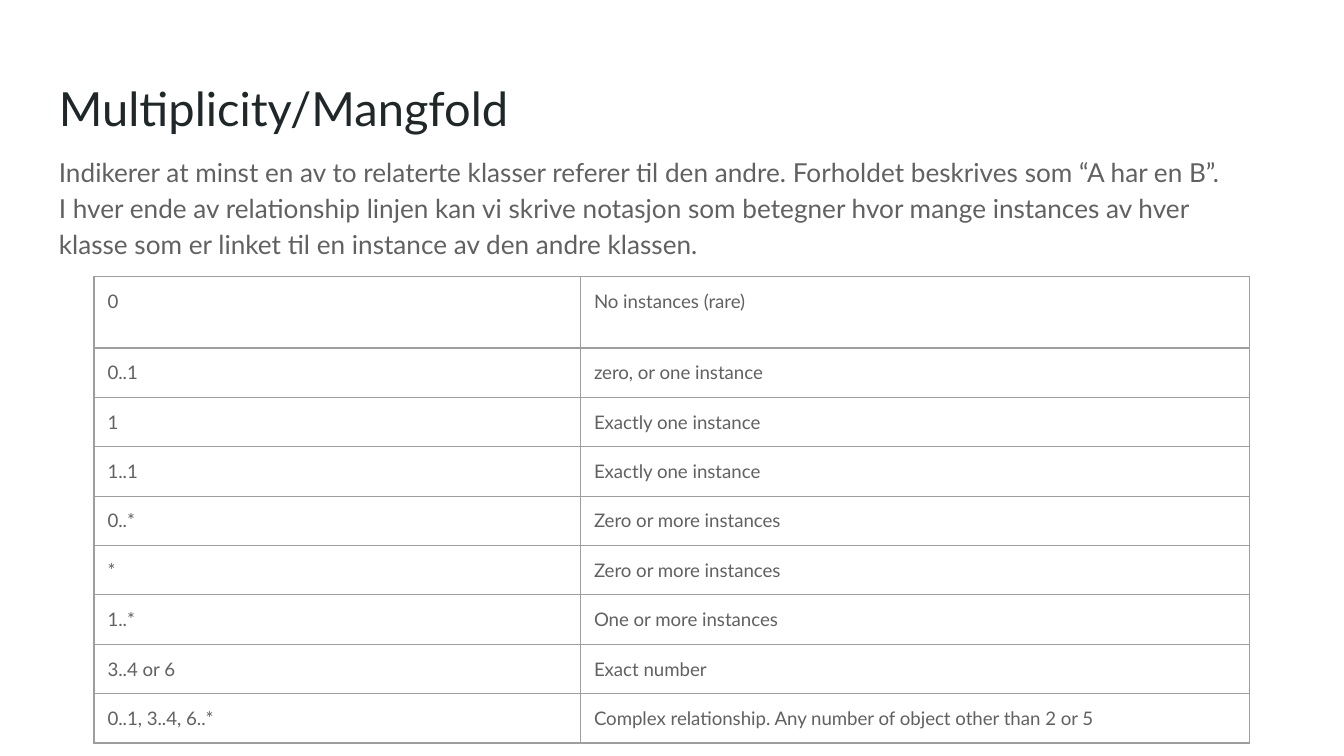
from lxml.etree import SubElement
from pptx import Presentation
from pptx.dml.color import RGBColor
from pptx.enum.text import MSO_ANCHOR as Anchor
from pptx.oxml.ns import qn
from pptx.util import Pt

PX = 4572  # 200 px to the inch
THEME = {
    "font": "Lato",
    "title": {"size": Pt(25.2), "color": "202729"},
    "body": {"size": Pt(14), "color": "616161"},
    "cell": {"size": Pt(10), "color": "616161"},
    "border": "9E9E9E",
    "border_width": Pt(0.75),
}
INSET = 20 * PX
FRAME = {
    "margin_left": INSET,
    "margin_right": INSET,
    "margin_top": INSET,
    "margin_bottom": INSET,
    "vertical_anchor": Anchor.TOP,
}


def write(paragraph, text, style):
    run = paragraph.add_run()
    run.text = text
    run.font.name = THEME["font"]
    run.font.size = style["size"]
    run.font.color.rgb = RGBColor.from_string(style["color"])


presentation = Presentation()
presentation.slide_width = 2000 * PX
presentation.slide_height = 1125 * PX
slide = presentation.slides.add_slide(presentation.slide_layouts[6])

# Title and explanation
TEXTS = [
    ("title", (68, 98, 1864, 126), 1.0, "Multiplicity/Mangfold"),
    ("body", (68, 206, 1774, 792), 1.15,
     "Indikerer at minst en av to relaterte klasser referer til den andre. "
     "Forholdet beskrives som “A har en B”. I hver ende av relationship linjen "
     "kan vi skrive notasjon som betegner hvor mange instances av hver klasse "
     "som er linket til en instance av den andre klassen."),
]
for style, box, spacing, text in TEXTS:
    shape = slide.shapes.add_textbox(*(length * PX for length in box))
    for name, value in {**FRAME, "word_wrap": True}.items():
        setattr(shape.text_frame, name, value)
    paragraph = shape.text_frame.paragraphs[0]
    paragraph.line_spacing = spacing
    write(paragraph, text, THEME[style])

# Multiplicity table
MULTIPLICITIES = [
    ("0", "No instances (rare)"),
    ("0..1", "zero, or one instance"),
    ("1", "Exactly one instance"),
    ("1..1", "Exactly one instance"),
    ("0..*", "Zero or more instances"),
    ("*", "Zero or more instances"),
    ("1..*", "One or more instances"),
    ("3..4 or 6", "Exact number"),
    ("0..1, 3..4, 6..*",
     "Complex relationship. Any number of object other than 2 or 5"),
]
column_widths = [724, 996]
row_heights = [106] + [73] * (len(MULTIPLICITIES) - 1)
table = slide.shapes.add_table(
    len(row_heights), len(column_widths), 140 * PX, 412 * PX,
    sum(column_widths) * PX, sum(row_heights) * PX).table
table.first_row = table.horz_banding = False
for column, width in zip(table.columns, column_widths):
    column.width = width * PX

for row, height, texts in zip(table.rows, row_heights, MULTIPLICITIES):
    row.height = height * PX
    for cell, text in zip(row.cells, texts):
        for name, value in FRAME.items():
            setattr(cell, name, value)
        write(cell.text_frame.paragraphs[0], text, THEME["cell"])
        # Borders come before the fill in the cell properties
        properties = cell._tc.get_or_add_tcPr()
        for side in ("lnL", "lnR", "lnT", "lnB"):
            line = SubElement(properties, qn(f"a:{side}"),
                              w=str(THEME["border_width"]))
            fill = SubElement(line, qn("a:solidFill"))
            SubElement(fill, qn("a:srgbClr"), val=THEME["border"])
        cell.fill.background()

presentation.save("out.pptx")
